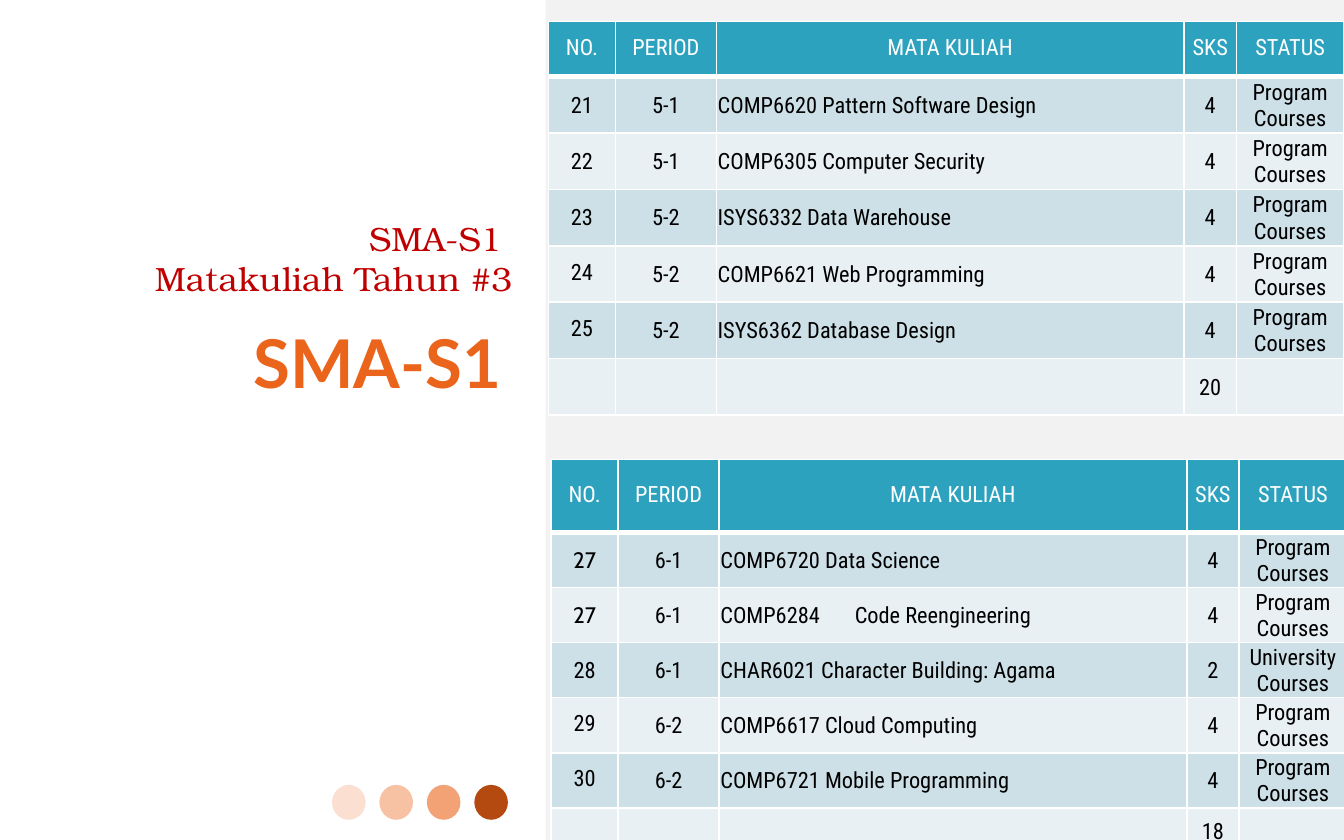
import pptx
import pptx.util
import pptx.dml.color
import pptx.enum.shapes
import pptx.enum.text
import pptx.oxml
import pptx.oxml.ns

Inches = pptx.util.Inches
Pt = pptx.util.Pt
ALIGN = pptx.enum.text.PP_ALIGN
ANCHOR = pptx.enum.text.MSO_ANCHOR
SHAPE = pptx.enum.shapes.MSO_SHAPE

BODY_FONT = "Roboto Condensed"
WHITE = "FFFFFF"
HEADER_FILL = "2DA2BF"
BAND_FILLS = ("CDE0E8", "E8F0F4")
COLUMNS = (0.5, 0.75, 3.48, 0.39, 0.8)
HEADINGS = ("NO.", "PERIOD", "MATA KULIAH", "SKS", "STATUS")
TIGHT_NUMBERS = ("24", "25", "29", "30")
CABIN_NUMBER = "27"
PROGRAM = "Program Courses"

FIFTH_TERM = (
    ("21", "5-1", "COMP6620 Pattern Software Design", "4", PROGRAM),
    ("22", "5-1", "COMP6305 Computer Security", "4", PROGRAM),
    ("23", "5-2", "ISYS6332 Data Warehouse", "4", PROGRAM),
    ("24", "5-2", "COMP6621 Web Programming", "4", PROGRAM),
    ("25", "5-2", "ISYS6362 Database Design", "4", PROGRAM),
    ("", "", "", "20", ""),
)
SIXTH_TERM = (
    ("27", "6-1", "COMP6720 Data Science", "4", PROGRAM),
    ("27", "6-1", "COMP6284\tCode Reengineering", "4", PROGRAM),
    ("28", "6-1", "CHAR6021 Character Building: Agama", "2", "University Courses"),
    ("29", "6-2", "COMP6617 Cloud Computing", "4", PROGRAM),
    ("30", "6-2", "COMP6721 Mobile Programming", "4", PROGRAM),
    ("", "", "", "18", ""),
)


def rgb(color):
    return pptx.dml.color.RGBColor.from_string(color)


def write(tf, text, font=BODY_FONT, size=12, color="000000", bold=False,
          align=ALIGN.CENTER, tight=False):
    p = tf.paragraphs[0]
    p.text = text
    p.alignment = align
    p.font.size = Pt(size)
    if tight:
        p.line_spacing = 0.8
        p.space_before = Pt(3)
    for r in p.runs:
        r.font.name = font
        r.font.size = Pt(size)
        r.font.bold = bold
        r.font.color.rgb = rgb(color)


def add_text(s, box, text, anchor=ANCHOR.TOP, **style):
    tf = s.shapes.add_textbox(*map(Inches, box)).text_frame
    tf.word_wrap = True
    tf.vertical_anchor = anchor
    write(tf, text, align=ALIGN.RIGHT, **style)


def add_block(s, kind, box, color):
    sp = s.shapes.add_shape(kind, *map(Inches, box))
    sp.shadow.inherit = False
    sp.fill.solid()
    sp.fill.fore_color.rgb = rgb(color)
    sp.line.fill.background()


def set_borders(cell, top, bottom):
    widths = {"lnL": 1, "lnR": 1, "lnT": top, "lnB": bottom}
    for i, (tag, width) in enumerate(widths.items()):
        line = pptx.oxml.parse_xml(
            f'<a:{tag} {pptx.oxml.ns.nsdecls("a")} w="{Pt(width)}">'
            f'<a:solidFill><a:srgbClr val="{WHITE}"/></a:solidFill></a:{tag}>')
        cell._tc.get_or_add_tcPr().insert(i, line)


def format_cell(cell, fill, inset, top_inset):
    cell.vertical_anchor = ANCHOR.MIDDLE
    cell.margin_left = cell.margin_right = Inches(inset)
    cell.margin_top = Inches(top_inset)
    cell.margin_bottom = 0
    cell.fill.solid()
    cell.fill.fore_color.rgb = rgb(fill)


def add_course_table(s, left, top, header_height, row_height, courses, header_inset):
    height = header_height + row_height * len(courses)
    table = s.shapes.add_table(
        len(courses) + 1, len(COLUMNS), Inches(left), Inches(top),
        Inches(sum(COLUMNS)), Inches(height)).table
    table.first_row = True
    table.horz_banding = False
    for column, width in zip(table.columns, COLUMNS):
        column.width = Inches(width)
    for row in table.rows:
        row.height = Inches(row_height)
    table.rows[0].height = Inches(header_height)

    for c, heading in enumerate(HEADINGS):
        cell = table.cell(0, c)
        format_cell(cell, HEADER_FILL, header_inset, 0)
        set_borders(cell, 1, 3)
        write(cell.text_frame, heading, color=WHITE, tight=True)

    for n, course in enumerate(courses):
        for c, value in enumerate(course):
            cell = table.cell(n + 1, c)
            tight = c == 0 and value in TIGHT_NUMBERS
            format_cell(cell, BAND_FILLS[n % 2], 0.01, 0 if tight else 0.01)
            set_borders(cell, 3 if n == 0 else 1, 1)
            write(cell.text_frame, value, tight=tight,
                  font="Cabin" if c == 0 and value == CABIN_NUMBER else BODY_FONT,
                  align=ALIGN.LEFT if c == 2 else ALIGN.CENTER)


def main():
    prs = pptx.Presentation()
    prs.slide_width = Inches(10)
    prs.slide_height = Inches(6.25)
    s = prs.slides.add_slide(prs.slide_layouts[6])

    add_block(s, SHAPE.RECTANGLE, (4.06, 0, 5.94, 6.25), "F2F2F2")
    for i, color in enumerate(("FBE0D1", "F7C1A4", "F3A276", "B54A10")):
        add_block(s, SHAPE.OVAL, (2.47 + 0.353 * i, 5.84, 0.25, 0.26), color)

    add_text(s, (0.94, 1.41, 2.97, 0.86), "SMA-S1 \vMatakuliah Tahun #3",
             anchor=ANCHOR.BOTTOM, font="TeX Gyre Bonum", size=18, color="C00000")
    add_text(s, (0.86, 2.34, 2.97, 3.59), "SMA-S1",
             font="Lato", size=36, color="EB641B", bold=True)

    add_course_table(s, 4.08, 0.16, 0.41, 0.42, FIFTH_TERM, 0.01)
    add_course_table(s, 4.1, 3.42, 0.54, 0.35, SIXTH_TERM, 0.02)
    prs.save("out.pptx")


if __name__ == "__main__":
    main()
